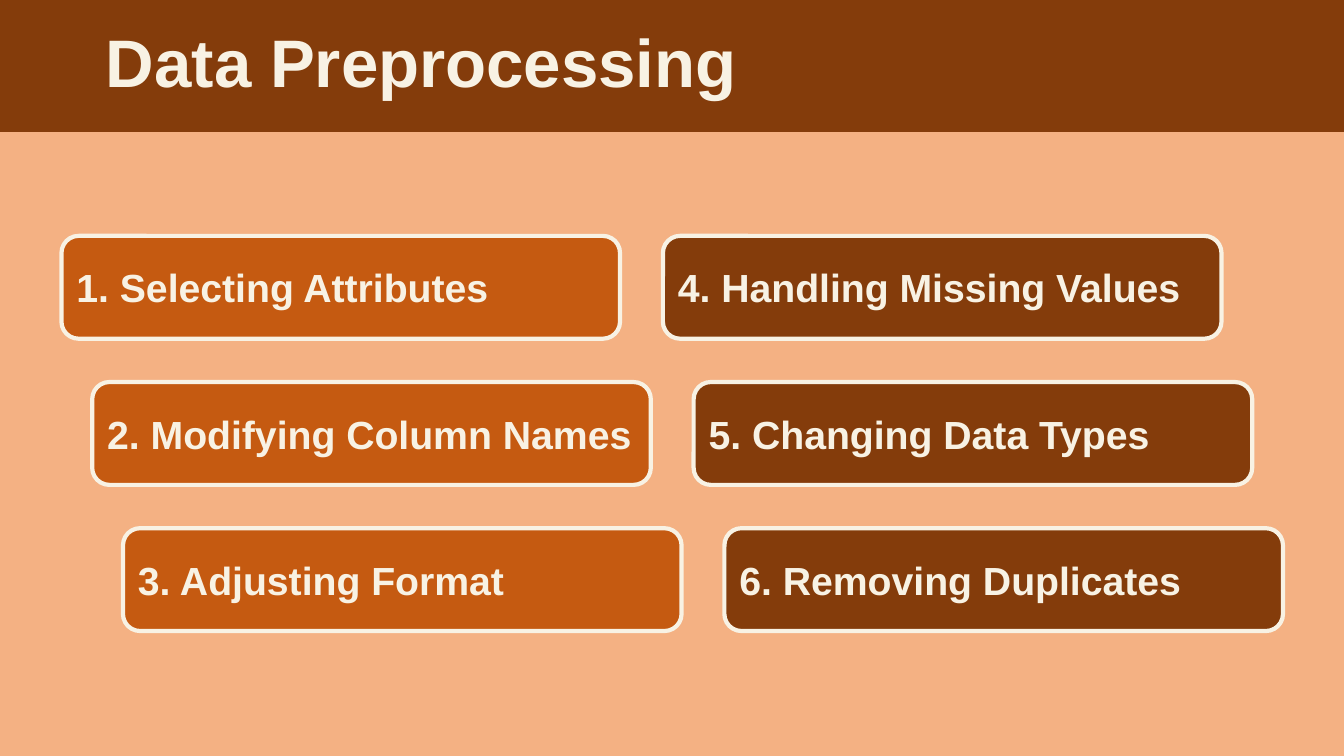
from dataclasses import dataclass

from pptx import Presentation
from pptx.dml.color import RGBColor
from pptx.enum.shapes import MSO_SHAPE as Shape
from pptx.enum.text import MSO_ANCHOR as Anchor, MSO_AUTO_SIZE as Fit, PP_ALIGN as Align
from pptx.util import Inches, Pt

PEACH, BROWN, RUST, CREAM = "F4B183", "843C0B", "C55A11", "F8F2E4"
WIDE, HIGH = 5.54, 1.02
TOP, PITCH, SHIFT = 2.34, 1.45, 0.305


@dataclass
class Group:
    left: float
    color: str
    steps: list[str]


GROUPS = [
    Group(0.61, RUST, ["1. Selecting Attributes", "2. Modifying Column Names",
                       "3. Adjusting Format"]),
    Group(6.575, BROWN, ["4. Handling Missing Values", "5. Changing Data Types",
                         "6. Removing Duplicates"]),
]


def paint(fill, color: str) -> None:
    fill.solid()
    fill.fore_color.rgb = RGBColor.from_string(color)


def write(shape, text: str, size: int):
    """Add one bold, left-aligned run and return its paragraph."""
    frame = shape.text_frame
    frame.word_wrap = True
    frame.auto_size = Fit.NONE
    frame.vertical_anchor = Anchor.MIDDLE
    para = frame.paragraphs[0]
    para.alignment = Align.LEFT
    run = para.add_run()
    run.text = text
    run.font.name = "Arial"
    run.font.size = Pt(size)
    run.font.bold = True
    paint(run.font.fill, CREAM)
    return para


def add_title(slide, text: str) -> None:
    band = slide.shapes.title
    band.left, band.top = Inches(0), Inches(0)
    band.width, band.height = Inches(13.33), Inches(1.31)
    paint(band.fill, BROWN)
    para = write(band, text, 48)
    para.line_spacing = 0.9
    band.text_frame.margin_left = Inches(1.05)


def add_step(slide, left: float, top: float, color: str, text: str) -> None:
    box = slide.shapes.add_shape(Shape.ROUNDED_RECTANGLE, Inches(left), Inches(top),
                                 Inches(WIDE), Inches(HIGH))
    box.shadow.inherit = False
    paint(box.fill, color)
    paint(box.line.fill, CREAM)
    box.line.width = Pt(3)
    write(box, text, 28)


def main() -> None:
    deck = Presentation()
    deck.slide_width, deck.slide_height = Inches(13.33), Inches(7.5)
    slide = deck.slides.add_slide(deck.slide_layouts.get_by_name("Title Only"))
    paint(slide.background.fill, PEACH)

    # Title band
    add_title(slide, "Data Preprocessing")

    # Two staircases of steps
    for group in GROUPS:
        for row, text in enumerate(group.steps):
            add_step(slide, group.left + row * SHIFT, TOP + row * PITCH,
                     group.color, text)

    deck.save("out.pptx")


if __name__ == "__main__":
    main()
